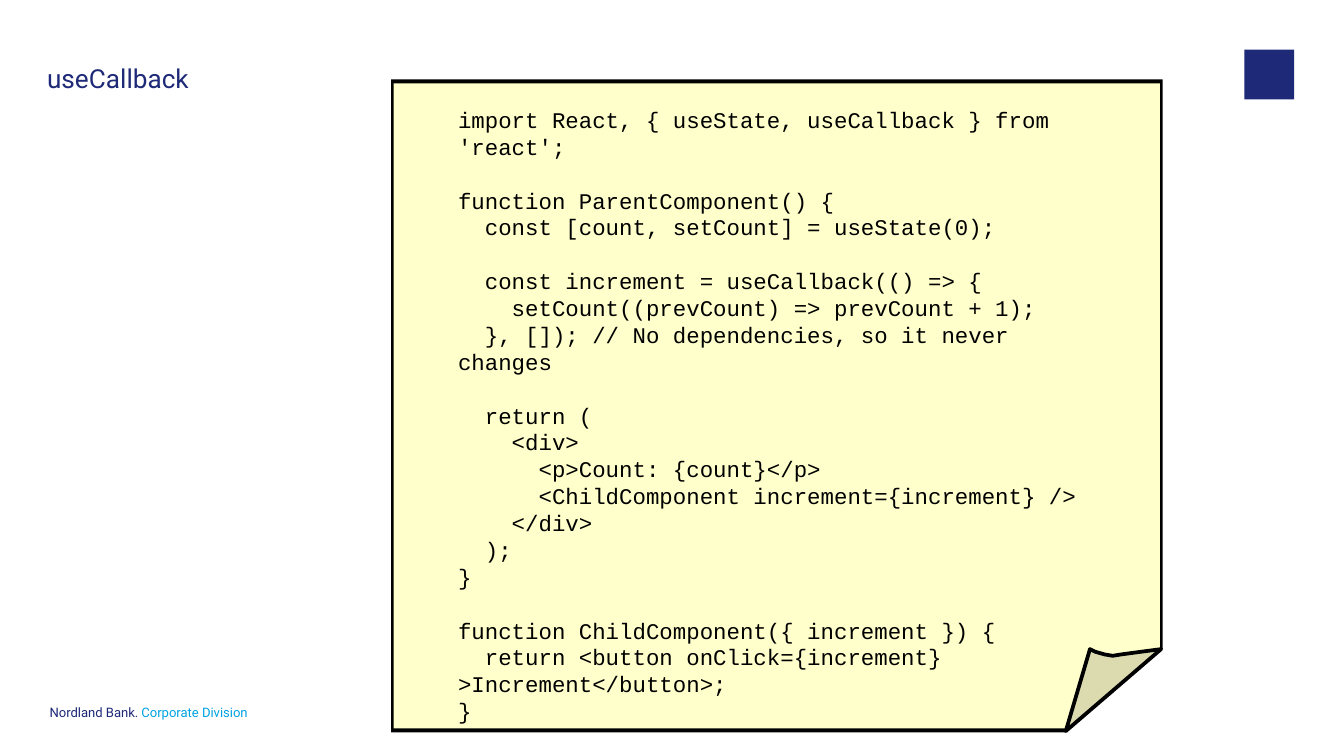
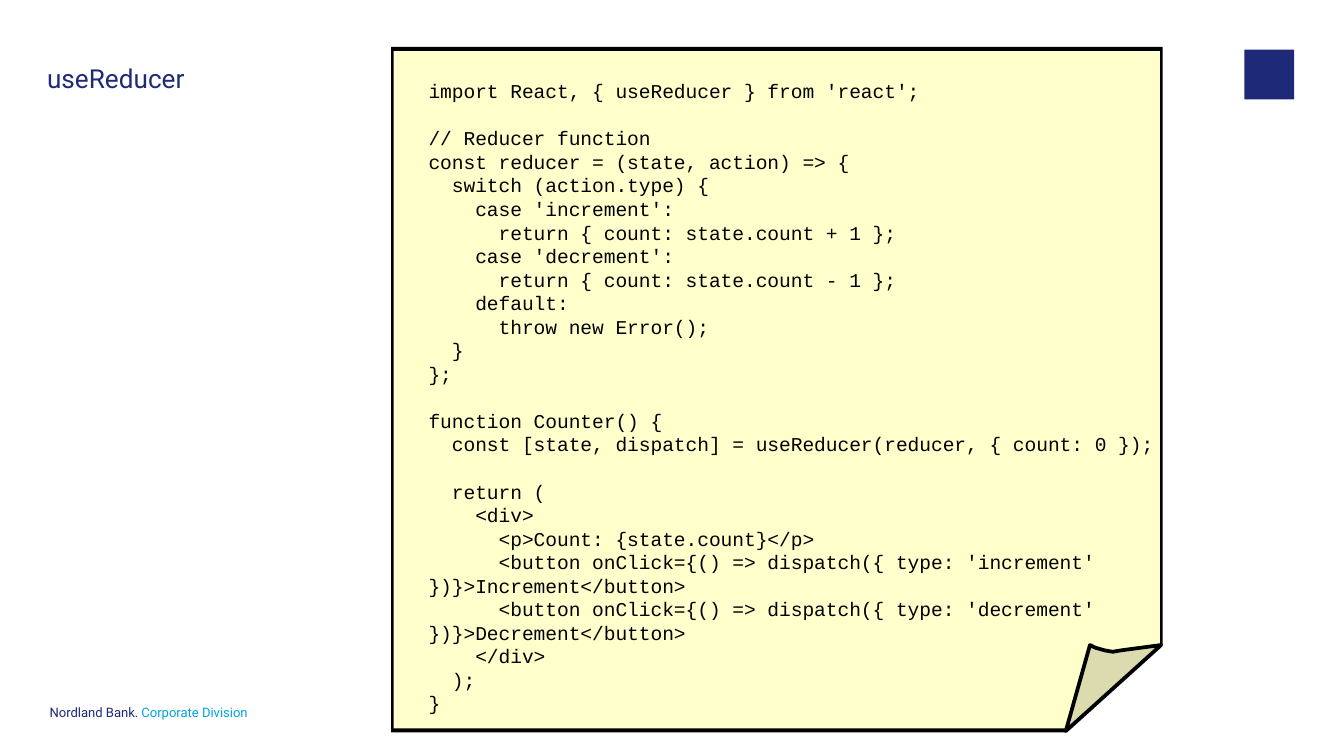
from dataclasses import dataclass

from lxml import etree
from pptx import Presentation
from pptx.dml.color import RGBColor
from pptx.enum.shapes import MSO_SHAPE
from pptx.enum.text import MSO_ANCHOR, MSO_AUTO_SIZE, PP_ALIGN
from pptx.oxml.ns import qn
from pptx.util import Inches, Pt

LEFT = PP_ALIGN.LEFT
TOP = MSO_ANCHOR.TOP
FIXED, GROW = MSO_AUTO_SIZE.NONE, MSO_AUTO_SIZE.SHAPE_TO_FIT_TEXT
RECTANGLE = MSO_SHAPE.RECTANGLE
TITLE_ONLY = 5


@dataclass(frozen=True)
class Theme:
    navy: str = "1E2A78"
    sky: str = "00A3E0"
    paper: str = "FFFFCC"
    curl: str = "DBDBAF"
    ink: str = "000000"
    text_font: str = "Roboto"
    code_font: str = "Courier New"
    title_size: float = 14
    footer_size: float = 7
    curl_line: float = 2
    code_spacing: float = 1.2


# Edges of the note sheet, in inches
SHEET_LEFT, SHEET_RIGHT, SHEET_BOTTOM = 2.91, 8.65, 5.45
FOLD_X = 7.93
SIDE_EDGE, TOP_EDGE = 0.02, 0.03
# Upper edge of the curled corner: x, and drop below the fold
CURL_EDGE = [(8.64, 0), (8.49, 0.02), (8.34, 0.04), (8.28, 0.05),
             (8.22, 0.04), (8.15, 0.02), (8.11, 0)]

CALLBACK_CODE = """\
import React, { useState, useCallback } from 'react';

function ParentComponent() {
  const [count, setCount] = useState(0);

  const increment = useCallback(() => {
    setCount((prevCount) => prevCount + 1);
  }, []); // No dependencies, so it never changes

  return (
    <div>
      <p>Count: {count}</p>
      <ChildComponent increment={increment} />
    </div>
  );
}

function ChildComponent({ increment }) {
  return <button onClick={increment}>Increment</button>;
}"""

REDUCER_CODE = """\
import React, { useReducer } from 'react';

// Reducer function
const reducer = (state, action) => {
  switch (action.type) {
    case 'increment':
      return { count: state.count + 1 };
    case 'decrement':
      return { count: state.count - 1 };
    default:
      throw new Error();
  }
};

function Counter() {
  const [state, dispatch] = useReducer(reducer, { count: 0 });

  return (
    <div>
      <p>Count: {state.count}</p>
      <button onClick={() => dispatch({ type: 'increment' })}>Increment</button>
      <button onClick={() => dispatch({ type: 'decrement' })}>Decrement</button>
    </div>
  );
}"""


class Deck:
    def __init__(self, theme):
        self.theme = theme
        self.presentation = Presentation()
        # Widescreen, 16 to 9
        self.presentation.slide_width = Inches(10)
        self.presentation.slide_height = Inches(10) * 9 // 16
        self.slide = None

    def start_slide(self, title):
        layout = self.presentation.slide_layouts[TITLE_ONLY]
        self.slide = self.presentation.slides.add_slide(layout)
        self.title(title)
        self.footer()
        self.emblem()

    def place(self, shape, left, top, width, height):
        shape.left, shape.top = Inches(left), Inches(top)
        shape.width, shape.height = Inches(width), Inches(height)

    def frame(self, shape, inset_x=0, inset_y=0, auto_size=FIXED):
        frame = shape.text_frame
        frame.word_wrap = True
        frame.auto_size = auto_size
        frame.vertical_anchor = TOP
        frame.margin_left = frame.margin_right = Inches(inset_x)
        frame.margin_top = frame.margin_bottom = Inches(inset_y)
        return frame

    def run(self, paragraph, text, font, size, color):
        paragraph.alignment = LEFT
        run = paragraph.add_run()
        run.text = text
        run.font.name = font
        run.font.size = Pt(size)
        run.font.color.rgb = RGBColor.from_string(color)

    def paint(self, shape, color):
        shape.shadow.inherit = False
        shape.fill.solid()
        shape.fill.fore_color.rgb = RGBColor.from_string(color)
        shape.line.fill.background()

    def title(self, text):
        theme = self.theme
        shape = self.slide.shapes.title
        self.place(shape, 0.35, 0.35, 8.54, 0.39)
        paragraph = self.frame(shape).paragraphs[0]
        paragraph.line_spacing = 1.5
        self.run(paragraph, text, theme.text_font, theme.title_size, theme.navy)

    def textbox(self, left, top, width, height):
        return self.slide.shapes.add_textbox(
            Inches(left), Inches(top), Inches(width), Inches(height))

    def footer(self):
        theme = self.theme
        paragraph = self.frame(self.textbox(0.37, 5.25, 1.97, 0.26)).paragraphs[0]
        paragraph.line_spacing = Pt(8)
        for text, color in (("Nordland Bank. ", theme.navy),
                            ("Corporate Division", theme.sky)):
            self.run(paragraph, text, theme.text_font, theme.footer_size, color)

    def emblem(self):
        square = self.slide.shapes.add_shape(
            RECTANGLE, Inches(9.26), Inches(0.37), Inches(0.37), Inches(0.37))
        self.paint(square, self.theme.navy)

    def outline(self, group, points, color):
        start, *others = [(Inches(x), Inches(y)) for x, y in points]
        builder = group.shapes.build_freeform(*start, scale=1.0)
        builder.add_line_segments(others, close=True)
        shape = builder.convert_to_shape()
        self.paint(shape, color)
        return shape

    def note_sheet(self, top, fold_y):
        theme = self.theme
        group = self.slide.shapes.add_group_shape()
        # Black sheet, then the paper inset by the edge widths
        for side, edge, color in ((0, 0, theme.ink),
                                  (SIDE_EDGE, TOP_EDGE, theme.paper)):
            left, right = SHEET_LEFT + side, SHEET_RIGHT - side
            bottom = SHEET_BOTTOM - edge
            self.outline(group, [(left, top + edge), (right, top + edge),
                                 (right, fold_y), (FOLD_X, bottom),
                                 (left, bottom)], color)
        # Curled corner
        edge_points = [(x, fold_y + drop) for x, drop in CURL_EDGE]
        corner = self.outline(
            group, edge_points + [(FOLD_X, SHEET_BOTTOM - 0.01)], theme.curl)
        corner.line.color.rgb = RGBColor.from_string(theme.ink)
        corner.line.width = Pt(theme.curl_line)
        line = corner.element.spPr.find(qn("a:ln"))
        etree.SubElement(line, qn("a:round"))

    def code(self, text, size, left, top, width, height):
        theme = self.theme
        frame = self.frame(self.textbox(left, top, width, height), 0.1, 0.05, GROW)
        line_height = Pt(size * theme.code_spacing)
        # Each block of code after the first stands one line lower
        paragraph = None
        for block in text.split("\n\n"):
            for index, line in enumerate(block.split("\n")):
                first = paragraph is None
                paragraph = frame.paragraphs[0] if first else frame.add_paragraph()
                paragraph.line_spacing = line_height
                if index == 0 and not first:
                    paragraph.space_before = line_height
                self.run(paragraph, line, theme.code_font, size, theme.ink)


def main():
    deck = Deck(Theme())

    # useCallback
    deck.start_slide("useCallback")
    deck.note_sheet(top=0.59, fold_y=4.83)
    deck.code(CALLBACK_CODE, 12, 3.31, 0.74, 5, 4.54)

    # useReducer
    deck.start_slide("useReducer")
    deck.note_sheet(top=0.35, fold_y=4.8)
    deck.code(REDUCER_CODE, 10.5, 3.09, 0.54, 6.69, 4.87)

    deck.presentation.save("out.pptx")


if __name__ == "__main__":
    main()
